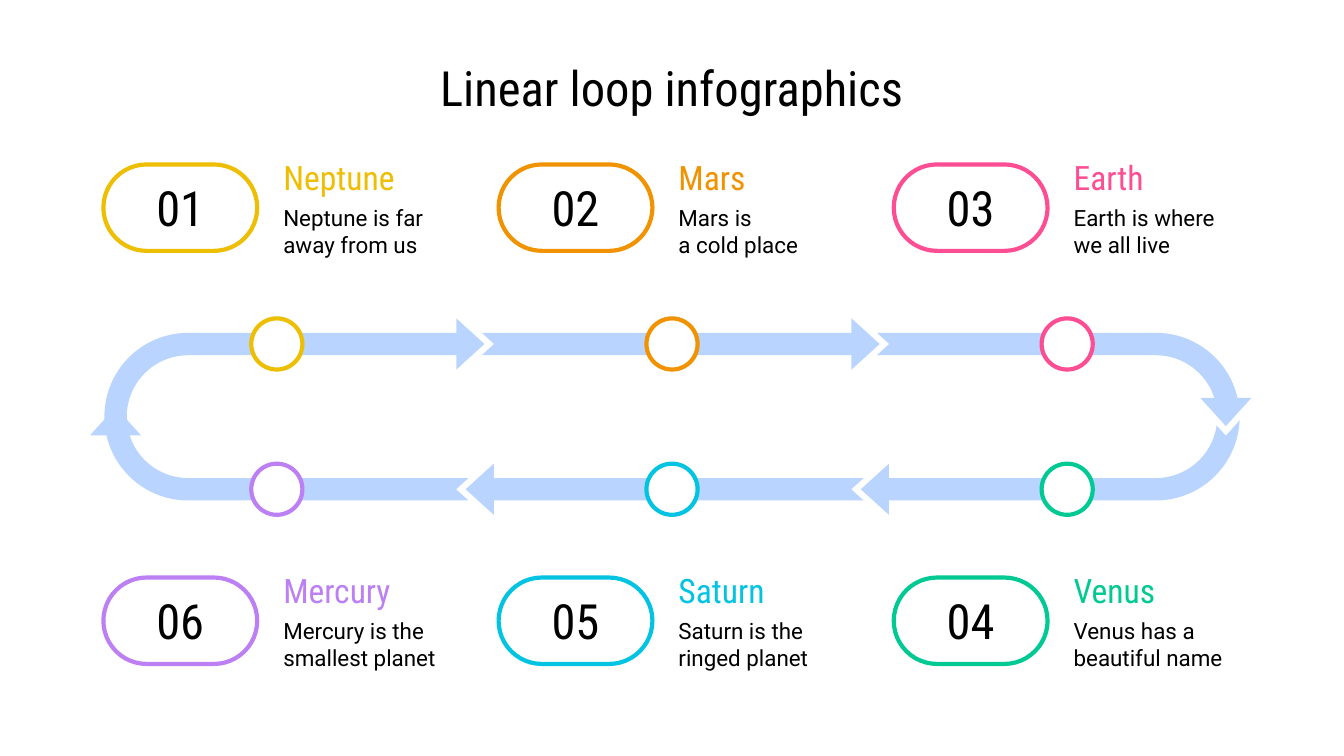
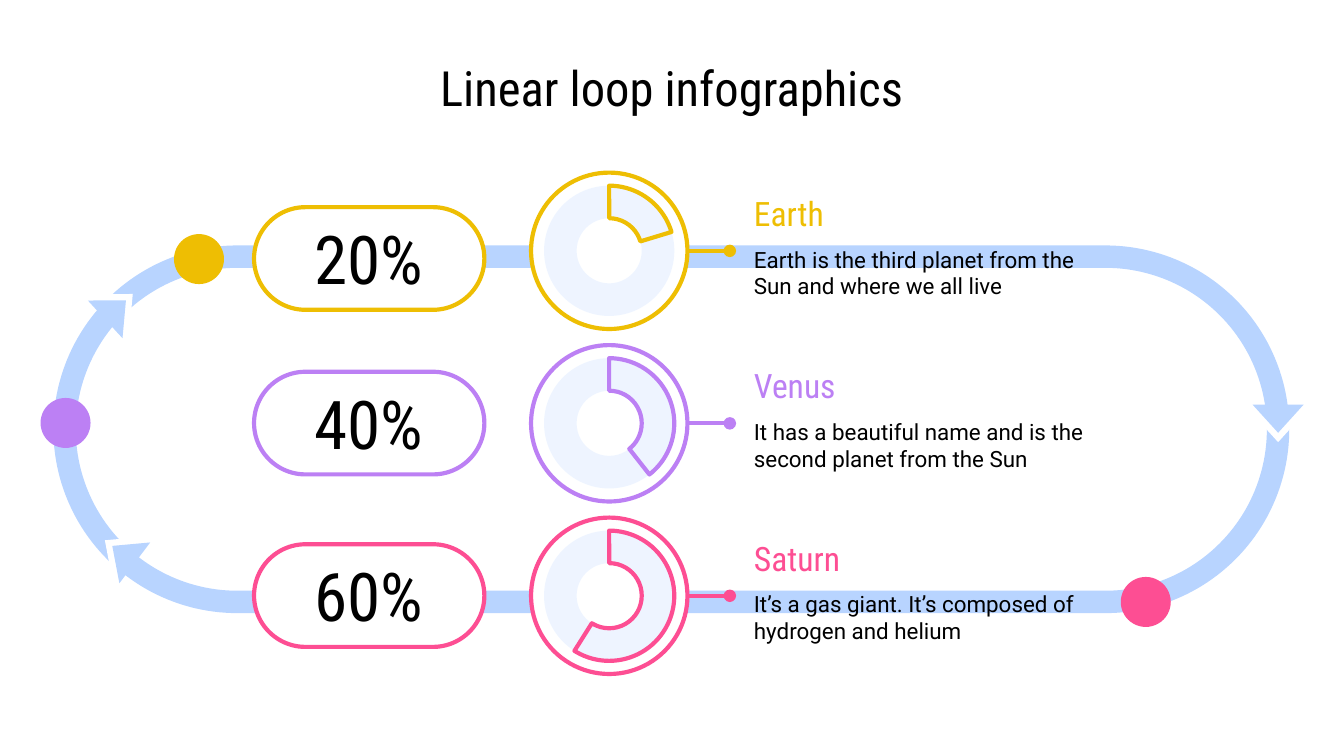
import math
from dataclasses import dataclass

import lxml.etree
import pptx
import pptx.dml.color
import pptx.enum.shapes
import pptx.enum.text
import pptx.oxml.ns
import pptx.shapes.autoshape
import pptx.slide
import pptx.util

Pt = pptx.util.Pt
qn = pptx.oxml.ns.qn
Shape = pptx.shapes.autoshape.Shape
Slide = pptx.slide.Slide
Kind = pptx.enum.shapes.MSO_SHAPE
Anchor = pptx.enum.text.MSO_ANCHOR
Align = pptx.enum.text.PP_ALIGN


@dataclass(frozen=True)
class Theme:
    ink: str = "000000"
    paper: str = "FFFFFF"
    track: str = "B8D4FF"
    yellow: str = "EEBE03"
    orange: str = "F19301"
    pink: str = "FD4E93"
    purple: str = "BC80F4"
    cyan: str = "02C3E2"
    green: str = "00C993"
    heading_font: str = "Roboto Condensed"
    body_font: str = "Roboto"
    title_size: float = 26
    share_size: float = 36
    name_size: float = 18
    body_size: float = 12
    outline: float = 2.25
    track_width: float = 12


THEME = Theme()


@dataclass(frozen=True)
class Box:
    left: float
    top: float
    width: float
    height: float

    @classmethod
    def around(cls, x: float, y: float, width: float, height: float) -> "Box":
        return cls(x - width / 2, y - height / 2, width, height)

    def lengths(self) -> tuple:
        return Pt(self.left), Pt(self.top), Pt(self.width), Pt(self.height)


@dataclass(frozen=True)
class Arrowhead:
    x: float
    y: float
    angle: float
    gap: bool = True


@dataclass(frozen=True)
class Stop:
    number: str
    name: str
    text: str
    color: str
    column: int
    row: int


@dataclass(frozen=True)
class Share:
    label: str
    name: str
    text: str
    color: str
    sweep: float
    pill_top: float
    marker_x: float
    marker_y: float


TITLE = "Linear loop infographics"
TITLE_BOX = Box(32.4, 23.8, 655.2, 45.4)

STOPS_LOOP = Box(61.9, 184.3, 596.2, 77.8)
STOPS = [
    Stop("01", "Neptune", "Neptune is far away from us", THEME.yellow, 0, 0),
    Stop("02", "Mars", "Mars is\na cold place", THEME.orange, 1, 0),
    Stop("03", "Earth", "Earth is where we all live", THEME.pink, 2, 0),
    Stop("06", "Mercury", "Mercury is the smallest planet", THEME.purple, 0, 1),
    Stop("05", "Saturn", "Saturn is the ringed planet", THEME.cyan, 1, 1),
    Stop("04", "Venus", "Venus has a beautiful name", THEME.green, 2, 1),
]
STOP_HEADS = [
    Arrowhead(61.9, 225.7, 0, gap=False),
    Arrowhead(656.7, 220.7, 180),
    Arrowhead(252, 184.3, 90),
    Arrowhead(463.7, 184.3, 90),
    Arrowhead(468.7, 262.1, 270),
    Arrowhead(257, 262.1, 270),
]
COLUMN_PITCH = 211.7
ROW_PITCH = 221.3

SHARES_LOOP = Box(34.6, 137.5, 650.1, 185)
SHARES = [
    Share("20%", "Earth", "Earth is the third planet from the Sun and where we all live",
          THEME.yellow, 73.2, 111, 106.6, 138.8),
    Share("40%", "Venus", "It has a beautiful name and is the second planet from the Sun",
          THEME.purple, 141.8, 199.2, 35.1, 226.6),
    Share("60%", "Saturn", "It’s a gas giant. It’s composed of hydrogen and helium",
          THEME.pink, 212.2, 291.6, 613.8, 322.5),
]
SHARE_HEADS = [
    Arrowhead(684.7, 224.3, 180),
    Arrowhead(66.2, 297, 307.1),
    Arrowhead(61.9, 166, 47.4),
]
SHARE_PITCH = 92.4


def rgb(color: str) -> pptx.dml.color.RGBColor:
    return pptx.dml.color.RGBColor.from_string(color)


def write(shape: Shape, text: str, font: str, size: float, color: str,
          align: Align = Align.LEFT, anchor: Anchor = Anchor.MIDDLE,
          side: float = 7.2, bottom: float = 7.2) -> None:
    frame = shape.text_frame
    frame.text = text
    frame.word_wrap = True
    frame.auto_size = pptx.enum.text.MSO_AUTO_SIZE.NONE
    frame.vertical_anchor = anchor
    frame.margin_left = frame.margin_right = Pt(side)
    frame.margin_top, frame.margin_bottom = Pt(7.2), Pt(bottom)
    for para in frame.paragraphs:
        para.alignment = align
        for span in para.runs:
            span.font.name = font
            span.font.size = Pt(size)
            span.font.color.rgb = rgb(color)


def add_label(page: Slide, box: Box, text: str, font: str, size: float, color: str,
              anchor: Anchor = Anchor.MIDDLE, side: float = 7.2) -> None:
    label = page.shapes.add_textbox(*box.lengths())
    write(label, text, font, size, color, anchor=anchor, side=side)


def add_figure(page: Slide, kind: Kind, box: Box, fill: str | None = None,
               line: str | None = None, width: float = THEME.outline) -> Shape:
    figure = page.shapes.add_shape(kind, *box.lengths())
    figure.shadow.inherit = False
    if fill:
        figure.fill.solid()
        figure.fill.fore_color.rgb = rgb(fill)
    else:
        figure.fill.background()
    if line:
        figure.line.color.rgb = rgb(line)
        figure.line.width = Pt(width)
    else:
        figure.line.fill.background()
    return figure


def add_loop(page: Slide, box: Box) -> None:
    loop = add_figure(page, Kind.ROUNDED_RECTANGLE, box, line=THEME.track,
                      width=THEME.track_width)
    loop.adjustments[0] = 0.5


def add_pill(page: Slide, box: Box, text: str, size: float, color: str) -> None:
    pill = add_figure(page, Kind.ROUNDED_RECTANGLE, box, THEME.paper, color)
    pill.adjustments[0] = 0.5
    write(pill, text, THEME.heading_font, size, THEME.ink, Align.CENTER, bottom=7.9)


def add_arrowhead(page: Slide, head: Arrowhead) -> None:
    turn = math.radians(head.angle)
    layers = [(5, THEME.paper)] if head.gap else []
    for shift, color in layers + [(0, THEME.track)]:
        center_x = head.x + shift * math.sin(turn)
        center_y = head.y - shift * math.cos(turn)
        box = Box.around(center_x, center_y, 27.4, 15.1)
        add_figure(page, Kind.ISOSCELES_TRIANGLE, box, color).rotation = head.angle


def add_pointer(page: Slide, y: float, color: str) -> None:
    pointer = page.shapes.add_connector(
        pptx.enum.shapes.MSO_CONNECTOR.STRAIGHT, Pt(368.6), Pt(y), Pt(391), Pt(y))
    pointer.line.color.rgb = rgb(color)
    pointer.line.width = Pt(THEME.outline)
    properties = pointer._element.spPr
    lxml.etree.SubElement(properties.find(qn("a:ln")), qn("a:tailEnd"), type="oval")
    lxml.etree.SubElement(properties, qn("a:effectLst"))


def add_gauge(page: Slide, y: float, share: Share) -> None:
    x = 326.4
    add_figure(page, Kind.OVAL, Box.around(x, y, 83.8, 83.8), THEME.paper, share.color)
    ring_box = Box.around(x, y, 69.8, 69.8)
    ring = add_figure(page, Kind.DONUT, ring_box, THEME.track)
    ring.adjustments[0] = 0.25
    tint = ring._element.spPr.find(qn("a:solidFill"))[0]
    lxml.etree.SubElement(tint, qn("a:alpha"), val="24000")
    arc = add_figure(page, Kind.BLOCK_ARC, ring_box, line=share.color)
    start, end = 270, (270 + share.sweep) % 360
    for index, value in enumerate((start * 0.6, end * 0.6, 0.25)):
        arc.adjustments[index] = value


def add_stop(page: Slide, stop: Stop) -> None:
    x = 360 + (stop.column - 1) * COLUMN_PITCH
    drop = stop.row * ROW_PITCH
    add_label(page, Box(x - 3.6, 105.8 + drop, 97.4, 36), stop.text,
              THEME.body_font, THEME.body_size, THEME.ink)
    add_label(page, Box(x - 3.6, 81.4 + drop, 97.4, 26.6), stop.name,
              THEME.heading_font, THEME.name_size, stop.color)
    add_pill(page, Box(x - 92.9, 88.1 + drop, 82.4, 46.3), stop.number,
             THEME.title_size, stop.color)
    marker_y = STOPS_LOOP.top + stop.row * STOPS_LOOP.height
    add_figure(page, Kind.OVAL, Box.around(x, marker_y, 27.4, 27.4),
               THEME.paper, stop.color)


def add_share(page: Slide, row: int, share: Share) -> None:
    drop = row * SHARE_PITCH
    center_y = 134.4 + drop
    add_label(page, Box(393.1, 100.8 + drop, 203.8, 26.6), share.name,
              THEME.heading_font, THEME.name_size, share.color, side=10.8)
    add_label(page, Box(393.1, 124.4 + drop, 203.8, 43.9), share.text,
              THEME.body_font, THEME.body_size, THEME.ink, Anchor.TOP, 10.8)
    add_gauge(page, center_y, share)
    add_pill(page, Box(136.1, share.pill_top, 123.4, 55), share.label,
             THEME.share_size, share.color)
    add_pointer(page, center_y, share.color)


def add_page(deck, loop: Box) -> Slide:
    page = deck.slides.add_slide(deck.slide_layouts.get_by_name("Title Only"))
    title = page.shapes.title
    title.left, title.top, title.width, title.height = TITLE_BOX.lengths()
    write(title, TITLE, THEME.heading_font, THEME.title_size, THEME.ink, Align.CENTER)
    add_loop(page, loop)
    return page


def build_stops(deck) -> None:
    page = add_page(deck, STOPS_LOOP)
    for head in STOP_HEADS:
        add_arrowhead(page, head)
    for stop in STOPS:
        add_stop(page, stop)


def build_shares(deck) -> None:
    page = add_page(deck, SHARES_LOOP)
    for share in SHARES:
        add_figure(page, Kind.OVAL,
                   Box.around(share.marker_x, share.marker_y, 26.8, 26.8), share.color)
    for head in SHARE_HEADS:
        add_arrowhead(page, head)
    for row, share in enumerate(SHARES):
        add_share(page, row, share)


def main() -> None:
    deck = pptx.Presentation()
    deck.slide_width, deck.slide_height = Pt(720), Pt(405)
    build_stops(deck)
    build_shares(deck)
    deck.save("out.pptx")


if __name__ == "__main__":
    main()
